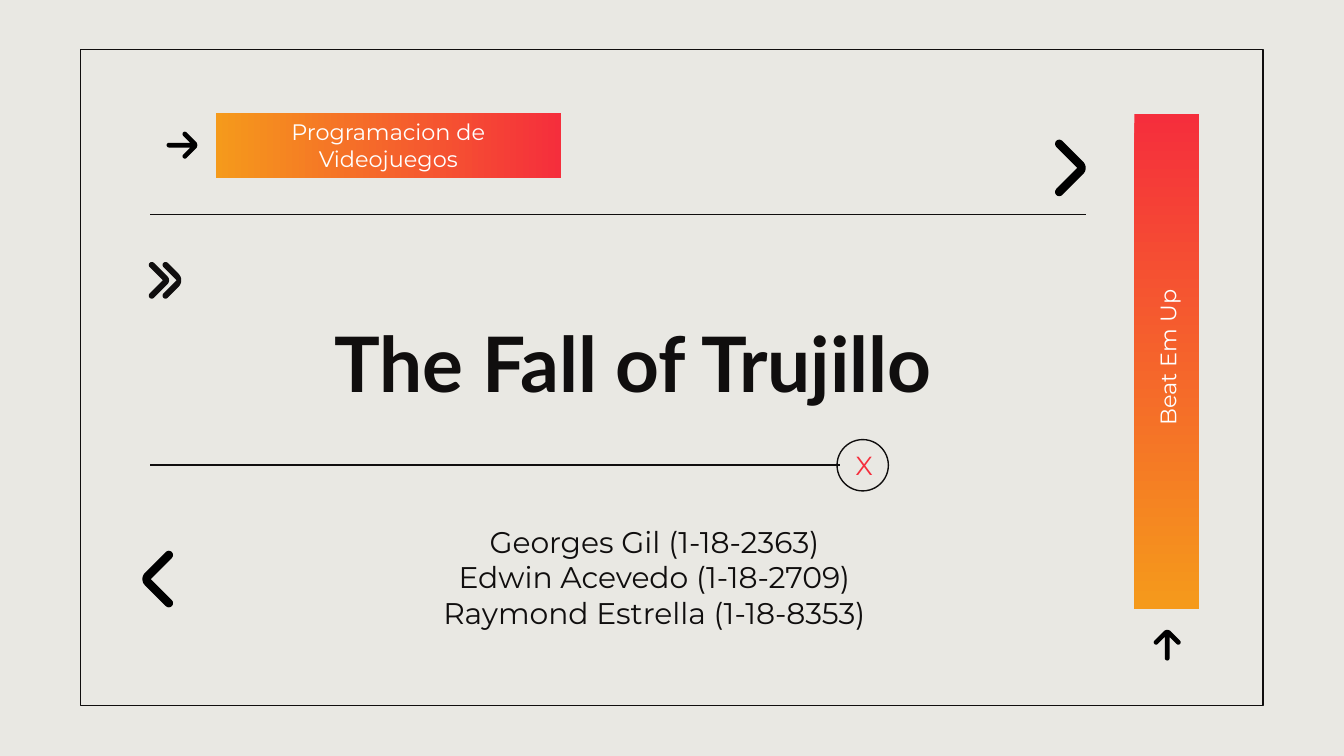
from dataclasses import dataclass
from math import cos, radians, sin, sqrt

from lxml import etree
from pptx import Presentation
from pptx import util as u
from pptx.dml.color import RGBColor
from pptx.enum import shapes, text
from pptx.oxml import ns


@dataclass(frozen=True)
class Theme:
    paper: str = "E9E8E3"
    ink: str = "100E0E"
    black: str = "000000"
    white: str = "FFFFFF"
    red: str = "F52E3C"
    orange: str = "F59A1B"
    heading: str = "Lato"
    body: str = "Montserrat"
    title_size: float = 41
    authors_size: float = 16
    mark_size: float = 14
    label_size: float = 12
    rule: float = 0.75


THEME = Theme()


@dataclass(frozen=True)
class Box:
    """Position and size in centimetres, rotation in degrees."""
    left: float
    top: float
    width: float
    height: float
    rotation: float = 0

    def lengths(self) -> tuple:
        return tuple(u.Cm(v) for v in (self.left, self.top, self.width, self.height))


@dataclass(frozen=True)
class Label:
    box: Box
    lines: tuple
    size: float
    color: str = THEME.ink
    font: str = THEME.body
    bold: bool = False
    spacing: float = 1.0


@dataclass(frozen=True)
class Icon:
    """Right-pointing chevron; a shaft makes it an arrow."""
    box: Box
    radius: float
    head: float
    shaft: bool = False
    color: str = THEME.black
    outline: float = 0


BARS = (
    Box(6.73, -0.51, 1.22, 6.53, 90),
    Box(21.44, 2.16, 1.22, 9.35),
)
RULES = ((2.84, 20.52, 4.06), (2.84, 15.88, 8.79))
LABELS = (
    Label(Box(3.43, 4.6, 17.09, 4.72), ("The Fall of Trujillo",), THEME.title_size,
          font=THEME.heading, bold=True, spacing=0.9),
    Label(Box(6.45, 9.8, 11.84, 2.21),
          ("Georges Gil (1-18-2363)", "Edwin Acevedo (1-18-2709)",
           "Raymond Estrella (1-18-8353)"), THEME.authors_size),
    Label(Box(4.95, 2.44, 4.78, 0.61), ("Programacion de Videojuegos",),
          THEME.label_size, THEME.white),
    Label(Box(18.75, 6.45, 6.63, 0.61, 270), ("Beat Em Up",),
          THEME.label_size, THEME.white),
    Label(Box(15.65, 8.46, 1.37, 0.66), ("X",), THEME.mark_size, THEME.red),
)
ICONS = (
    Icon(Box(19.94, 2.64, 0.58, 1.07), 0.08, 0.58),
    Icon(Box(2.69, 10.41, 0.58, 1.07, 180), 0.08, 0.58),
    Icon(Box(3.15, 2.49, 0.58, 0.51), 0.045, 0.28, shaft=True),
    Icon(Box(21.77, 11.94, 0.58, 0.51, 270), 0.045, 0.28, shaft=True),
    Icon(Box(3.1, 4.98, 0.3, 0.64), 0.03, 0.3, color=THEME.ink, outline=1.5),
    Icon(Box(2.84, 4.98, 0.33, 0.64), 0.03, 0.33, color=THEME.ink, outline=1.5),
)


def rgb(color: str) -> RGBColor:
    return RGBColor.from_string(color)


def set_line(sp, color: str, width: float) -> None:
    if not width:
        sp.line.fill.background()
        return
    sp.line.color.rgb = rgb(color)
    sp.line.width = u.Pt(width)


def add_outline(slide, kind, box: Box) -> None:
    sp = slide.shapes.add_shape(kind, *box.lengths())
    sp.shadow.inherit = False
    sp.fill.background()
    set_line(sp, THEME.ink, THEME.rule)


def add_bar(slide, box: Box) -> None:
    sp = slide.shapes.add_shape(shapes.MSO_SHAPE.RECTANGLE, *box.lengths())
    sp.rotation = box.rotation
    sp.shadow.inherit = False
    sp.line.fill.background()
    sp.fill.gradient()
    sp.fill.gradient_angle = 270
    for stop, color, position in zip(sp.fill.gradient_stops,
                                     (THEME.red, THEME.orange), (0, 1)):
        stop.color.rgb = rgb(color)
        stop.position = position


def add_rule(slide, start: float, end: float, y: float) -> None:
    line = slide.shapes.add_connector(shapes.MSO_CONNECTOR.STRAIGHT,
                                      u.Cm(start), u.Cm(y), u.Cm(end), u.Cm(y))
    set_line(line, THEME.ink, THEME.rule)
    etree.SubElement(line._element.spPr, ns.qn("a:effectLst"))


def add_label(slide, label: Label) -> None:
    sp = slide.shapes.add_textbox(*label.box.lengths())
    sp.rotation = label.box.rotation
    tf = sp.text_frame
    tf.word_wrap = True
    tf.vertical_anchor = text.MSO_ANCHOR.MIDDLE
    tf.margin_left = tf.margin_right = tf.margin_top = tf.margin_bottom = u.Cm(0.25)
    tf.text = "\n".join(label.lines)
    for p in tf.paragraphs:
        p.alignment = text.PP_ALIGN.CENTER
        p.line_spacing = label.spacing
        for r in p.runs:
            r.font.name = label.font
            r.font.size = u.Pt(label.size)
            r.font.bold = label.bold
            r.font.color.rgb = rgb(label.color)


def arc(x: float, y: float, radius: float, start: int, end: int) -> list:
    steps = 8
    angles = [radians(start + (end - start) * i / steps) for i in range(steps + 1)]
    return [(x + radius * cos(a), y + radius * sin(a)) for a in angles]


def icon_points(icon: Icon) -> list:
    w, h, r = icon.box.width, icon.box.height, icon.radius
    mid, left = h / 2, w - icon.head
    # The elbow radius makes the outer 45 degree edges tangent to tips and elbow
    elbow = (mid - icon.head + sqrt(2) * r) / (sqrt(2) - 1)
    points = arc(left + r, r, r, 135, 315)
    points += arc(w - elbow, mid, elbow, -45, 45)
    points += arc(left + r, h - r, r, 45, 225)
    inner = left + mid - sqrt(2) * r
    if icon.shaft:
        return points + [(inner - r, mid + r), *arc(r, mid, r, 90, 270),
                         (inner - r, mid - r)]
    return points + [(inner, mid)]


def add_icon(slide, icon: Icon) -> None:
    left, top = icon.box.left, icon.box.top
    points = [(u.Cm(left + x), u.Cm(top + y)) for x, y in icon_points(icon)]
    builder = slide.shapes.build_freeform(*points[0])
    builder.add_line_segments(points[1:], close=True)
    sp = builder.convert_to_shape()
    sp.rotation = icon.box.rotation
    sp.shadow.inherit = False
    sp.fill.solid()
    sp.fill.fore_color.rgb = rgb(icon.color)
    set_line(sp, icon.color, icon.outline)


def main() -> None:
    prs = Presentation()
    prs.slide_width, prs.slide_height = u.Cm(25.4), u.Cm(14.29)
    slide = prs.slides.add_slide(prs.slide_layouts[6])
    slide.background.fill.solid()
    slide.background.fill.fore_color.rgb = rgb(THEME.paper)

    # Frame, gradient bars and rules
    add_outline(slide, shapes.MSO_SHAPE.RECTANGLE, Box(1.52, 0.94, 22.35, 12.4))
    for bar in BARS:
        add_bar(slide, bar)
    for rule in RULES:
        add_rule(slide, *rule)
    add_outline(slide, shapes.MSO_SHAPE.OVAL, Box(15.82, 8.31, 0.97, 0.97))

    # Icons and wording
    for icon in ICONS:
        add_icon(slide, icon)
    for label in LABELS:
        add_label(slide, label)

    prs.save("out.pptx")


if __name__ == "__main__":
    main()
